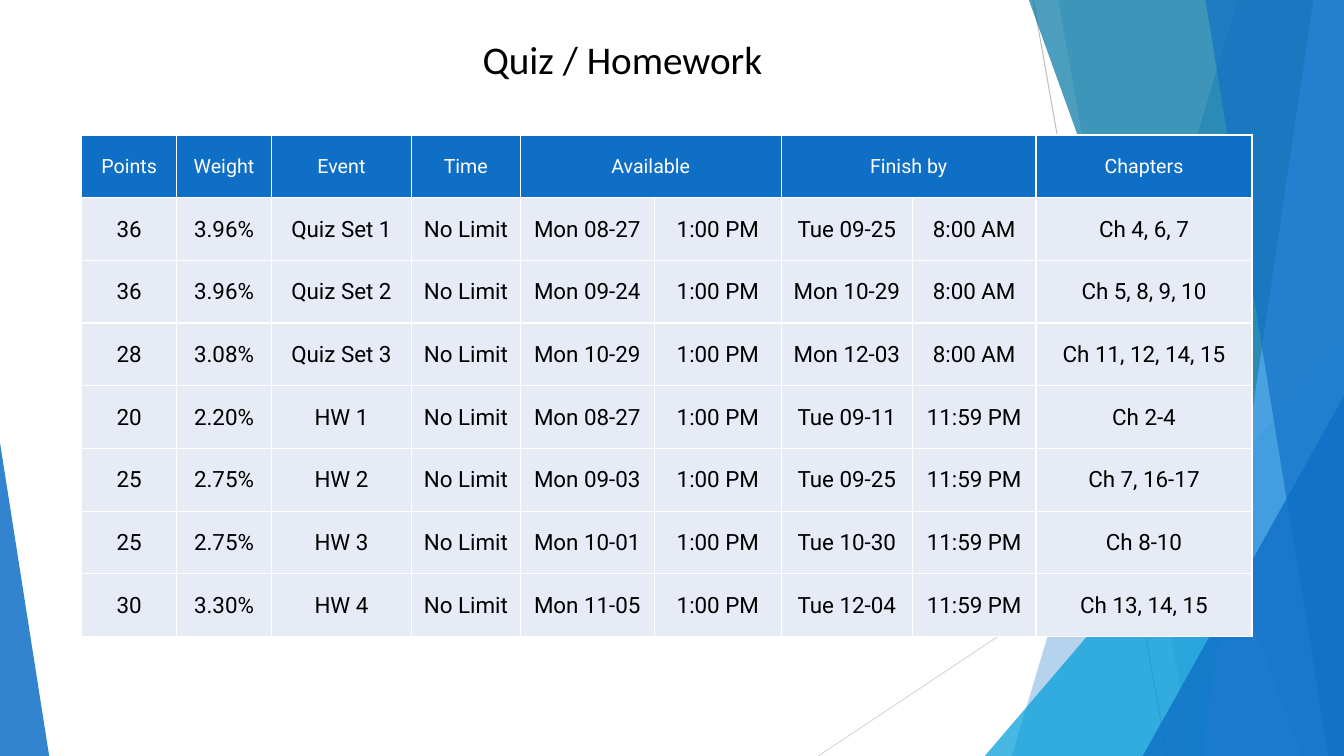
from lxml.etree import SubElement
from pptx import Presentation
from pptx.dml.color import RGBColor
from pptx.enum.shapes import MSO_CONNECTOR as CONN, MSO_SHAPE as SHAPE
from pptx.enum.text import MSO_ANCHOR as ANCHOR, MSO_AUTO_SIZE as AUTO, PP_ALIGN as ALIGN
from pptx.oxml import parse_xml
from pptx.oxml.ns import nsdecls, qn
from pptx.util import Cm, Pt

BLUE = RGBColor(0x0F, 0x6F, 0xC6)
CYAN = RGBColor(0x00, 0x9D, 0xD9)
TEAL = RGBColor(0x00, 0x76, 0xA3)
SKY = RGBColor(0x59, 0xAA, 0xF2)
PALE = RGBColor(0xE7, 0xEB, 0xF5)
GREY = RGBColor(0xBF, 0xBF, 0xBF)
LIGHT_GREY = RGBColor(0xD9, 0xD9, 0xD9)
WHITE = RGBColor(0xFF, 0xFF, 0xFF)
BLACK = RGBColor(0x00, 0x00, 0x00)

# Content
TITLE = "Quiz / Homework"
HEADER = ["Points", "Weight", "Event", "Time", "Available", None, "Finish by", None, "Chapters"]
LIMIT, OPENS = "No Limit", "1:00 PM"
# points, weight, event, available day, finish day, finish time, chapters
EVENTS = [
    ("36", "3.96%", "Quiz Set 1", "Mon 08-27", "Tue 09-25", "8:00 AM", "Ch 4, 6, 7"),
    ("36", "3.96%", "Quiz Set 2", "Mon 09-24", "Mon 10-29", "8:00 AM", "Ch 5, 8, 9, 10"),
    ("28", "3.08%", "Quiz Set 3", "Mon 10-29", "Mon 12-03", "8:00 AM", "Ch 11, 12, 14, 15"),
    ("20", "2.20%", "HW 1", "Mon 08-27", "Tue 09-11", "11:59 PM", "Ch 2-4"),
    ("25", "2.75%", "HW 2", "Mon 09-03", "Tue 09-25", "11:59 PM", "Ch 7, 16-17"),
    ("25", "2.75%", "HW 3", "Mon 10-01", "Tue 10-30", "11:59 PM", "Ch 8-10"),
    ("30", "3.30%", "HW 4", "Mon 11-05", "Tue 12-04", "11:59 PM", "Ch 13, 14, 15"),
]
COL_WIDTHS = [2.39, 2.39, 3.53, 2.74, 3.38, 3.2, 3.3, 3.12, 5.44]
ROW_HEIGHT = 1.58

# Decoration, from back to front (cm)
WIDTH, HEIGHT = 33.87, 19.05
RAYS = [((26.04, 0), (29.41, HEIGHT), GREY), ((WIDTH, 10.24), (20.62, HEIGHT), LIGHT_GREY)]
# band: top x, bottom x; triangle: left, top, width, apex; then colour, opacity %
FACETS = [
    ("band", (31.19, 25.5), BLUE, 30),
    ("band", (26.67, 30.05), BLUE, 20),
    ("triangle", (24.82, 8.46, 9.05, 1), CYAN, 72),
    ("band", (25.93, 32.79), TEAL, 70),
    ("band", (33.1, 30.28), SKY, 70),
    ("band", (30.38, 33.48), BLUE, 65),
    ("triangle", (28.8, 9.98, 5.07, 1), BLUE, 80),
    ("triangle", (0, 11.15, 1.24, 0), BLUE, 85),
]

prs = Presentation()
prs.slide_width, prs.slide_height = Cm(WIDTH), Cm(HEIGHT)
s = prs.slides.add_slide(prs.slide_layouts[6])


def add_band(top_x, bottom_x):
    outline = s.shapes.build_freeform(Cm(top_x), 0)
    corners = [(WIDTH, 0), (WIDTH, HEIGHT), (bottom_x, HEIGHT)]
    outline.add_line_segments([(Cm(x), Cm(y)) for x, y in corners])
    return outline.convert_to_shape()


def add_triangle(left, top, width, apex):
    sp = s.shapes.add_shape(SHAPE.ISOSCELES_TRIANGLE, Cm(left), Cm(top),
                            Cm(width), Cm(HEIGHT - top))
    sp.adjustments[0] = apex
    return sp


def write(tf, text, font, size, color):
    p = tf.paragraphs[0]
    p.alignment = ALIGN.CENTER
    r = p.add_run()
    r.text = text
    r.font.name, r.font.size = font, Pt(size)
    r.font.color.rgb = color


def add_borders(cell):
    tc_pr = cell._tc.get_or_add_tcPr()
    for i, side in enumerate("LRTB"):
        tc_pr.insert(i, parse_xml(
            f'<a:ln{side} {nsdecls("a")} w="{Pt(1)}"><a:solidFill>'
            f'<a:srgbClr val="{WHITE}"/></a:solidFill></a:ln{side}>'))


# Background rays and facets
for start, end, color in RAYS:
    ray = s.shapes.add_connector(CONN.STRAIGHT, *(Cm(v) for v in start + end))
    ray.line.color.rgb, ray.line.width = color, Pt(0.75)
    SubElement(ray.element.spPr, qn("a:effectLst"))

for kind, geometry, color, opacity in FACETS:
    sp = add_band(*geometry) if kind == "band" else add_triangle(*geometry)
    sp.shadow.inherit = False
    sp.line.fill.background()
    sp.fill.solid()
    sp.fill.fore_color.rgb = color
    rgb = sp.element.spPr.find(qn("a:solidFill")).find(qn("a:srgbClr"))
    SubElement(rgb, qn("a:alpha")).set("val", str(opacity * 1000))

# Title
tf = s.shapes.add_textbox(Cm(11.86), Cm(0.76), Cm(7.65), Cm(1.45)).text_frame
tf.word_wrap = False
tf.auto_size = AUTO.SHAPE_TO_FIT_TEXT
write(tf, TITLE, "Calibri", 28, BLACK)

# Schedule table
rows = [HEADER] + [(points, weight, event, LIMIT, day, OPENS, due, time, chapters)
                   for points, weight, event, day, due, time, chapters in EVENTS]
table = s.shapes.add_table(len(rows), len(COL_WIDTHS), Cm(2.06), Cm(3.4),
                           Cm(sum(COL_WIDTHS)), Cm(ROW_HEIGHT * len(rows))).table
for column, width in zip(table.columns, COL_WIDTHS):
    column.width = Cm(width)
for i, row in enumerate(rows):
    table.rows[i].height = Cm(ROW_HEIGHT)
    fill, size, color = (BLUE, 14, WHITE) if i == 0 else (PALE, 16, BLACK)
    for j, text in enumerate(row):
        cell = table.cell(i, j)
        cell.fill.solid()
        cell.fill.fore_color.rgb = fill
        add_borders(cell)
        cell.vertical_anchor = ANCHOR.MIDDLE
        cell.margin_left = cell.margin_right = cell.margin_top = Cm(0.02)
        cell.margin_bottom = 0
        if text is None:
            table.cell(i, j - 1).merge(cell)
        else:
            write(cell.text_frame, text, "Roboto", size, color)

prs.save("out.pptx")
